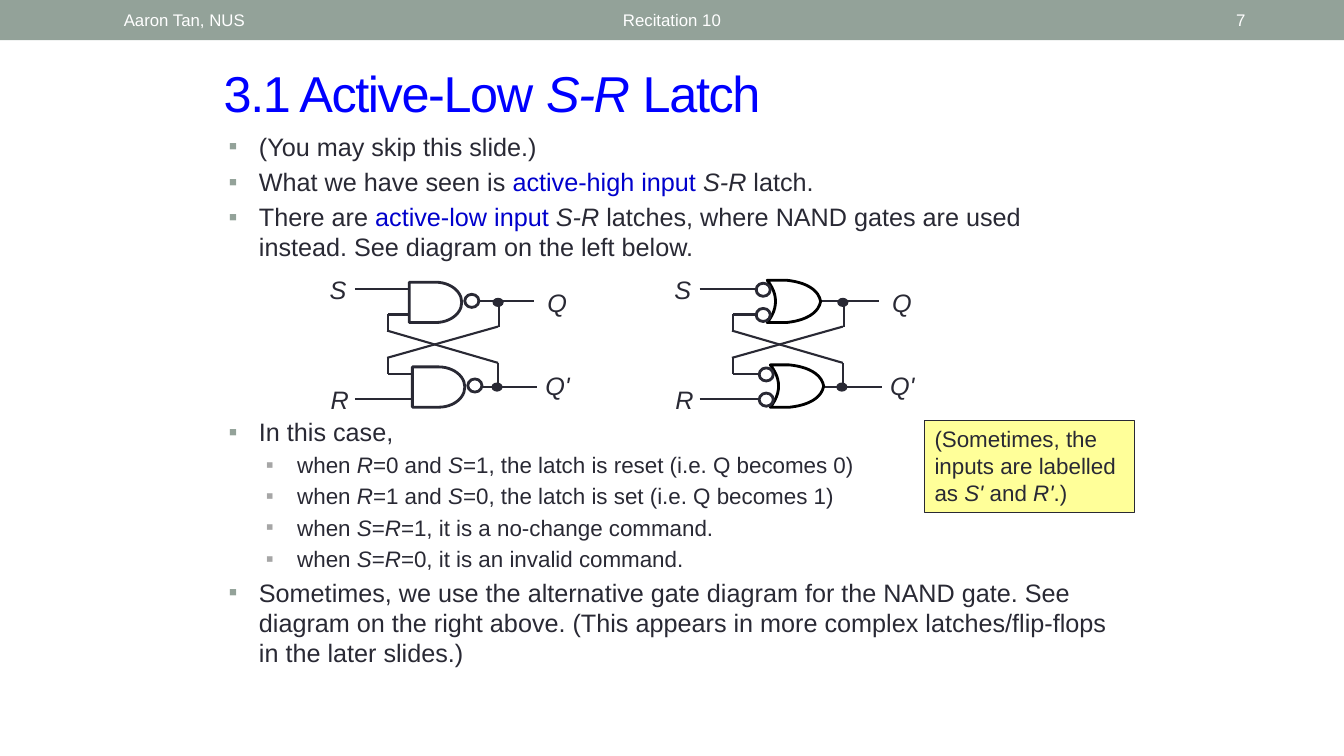
import lxml.etree
import pptx
import pptx.dml.color
import pptx.enum.shapes
import pptx.enum.text
import pptx.oxml.ns
import pptx.util

Inches = pptx.util.Inches
Pt = pptx.util.Pt
qn = pptx.oxml.ns.qn
SHAPE = pptx.enum.shapes.MSO_SHAPE
ALIGN = pptx.enum.text.PP_ALIGN
ANCHOR = pptx.enum.text.MSO_ANCHOR

COLORS = {
    "sage": "93A299", "grey": "A6A6A6", "ink": "292934", "black": "000000",
    "white": "FFFFFF", "title": "0000FF", "term": "0000CC", "note": "FFFF99",
}
LEVELS = [
    {"size": 18, "margin": 0.3, "hang": 0.3, "bullet": "sage", "before": 3.6},
    {"size": 16, "margin": 0.68, "hang": 0.31, "bullet": "grey", "before": 3.2},
]


def rgb(name):
    return pptx.dml.color.RGBColor.from_string(COLORS[name])


def apply(target, values):
    for name, value in values.items():
        setattr(target, name, value)


def italic(text):
    return text, {"italic": True}


def term(text):
    return text, {"color": "term"}


def bezier(p0, p1, p2, p3, steps=12):
    for step in range(1, steps + 1):
        t = step / steps
        u = 1 - t
        yield tuple(u**3 * a + 3 * u * u * t * b + 3 * u * t * t * c + t**3 * d
                    for a, b, c, d in zip(p0, p1, p2, p3))


class LatchSlide:
    font = "Arial"

    def __init__(self, slide):
        self.slide = slide
        self.canvas = slide.shapes

    def start_group(self):
        self.canvas = self.slide.shapes.add_group_shape().shapes

    def end_group(self):
        self.canvas = self.slide.shapes

    def outline(self, shape, fill, line, width):
        shape.shadow.inherit = False
        if fill:
            shape.fill.solid()
            shape.fill.fore_color.rgb = rgb(fill)
        else:
            shape.fill.background()
        if line:
            shape.line.color.rgb = rgb(line)
            shape.line.width = Pt(width)
        else:
            shape.line.fill.background()

    def shape(self, kind, box, fill=None, line="ink", width=2.0):
        shape = self.canvas.add_shape(kind, *map(Inches, box))
        self.outline(shape, fill, line, width)
        return shape

    def wire(self, x1, y1, x2, y2):
        wire = self.canvas.add_connector(
            pptx.enum.shapes.MSO_CONNECTOR.STRAIGHT, *map(Inches, (x1, y1, x2, y2)))
        wire.line.color.rgb = rgb("ink")
        wire.line.width = Pt(1.5)
        lxml.etree.SubElement(wire._element.spPr, qn("a:effectLst"))

    def curve(self, points):
        corners = [(Inches(x), Inches(y)) for x, y in points]
        builder = self.canvas.build_freeform(*corners[0])
        builder.add_line_segments(corners[1:], close=True)
        self.outline(builder.convert_to_shape(), None, "black", 2)

    def runs(self, paragraph, pieces, size, color="ink", spacing=None):
        for piece in pieces:
            text, style = (piece, {}) if isinstance(piece, str) else piece
            run = paragraph.add_run()
            run.text = text
            apply(run.font, {"name": self.font, "size": Pt(size),
                             "italic": style.get("italic", False)})
            run.font.color.rgb = rgb(style.get("color", color))
            if spacing:
                run._r.get_or_add_rPr().set("spc", str(spacing))

    def text(self, box, pieces, size, color="ink", anchor=ANCHOR.TOP,
             align=ALIGN.LEFT, spacing=None, host=None):
        host = host or self.canvas.add_textbox(*map(Inches, box))
        frame = host.text_frame
        apply(frame, {"word_wrap": True, "vertical_anchor": anchor})
        frame.paragraphs[0].alignment = align
        self.runs(frame.paragraphs[0], pieces, size, color, spacing)

    def bullets(self, box, items):
        frame = self.canvas.add_textbox(*map(Inches, box)).text_frame
        frame.word_wrap = True
        for index, (depth, pieces) in enumerate(items):
            level = LEVELS[depth]
            paragraph = frame.add_paragraph() if index else frame.paragraphs[0]
            properties = paragraph._p.get_or_add_pPr()
            properties.set("marL", str(Inches(level["margin"])))
            properties.set("indent", str(-Inches(level["hang"])))
            tint = lxml.etree.SubElement(properties, qn("a:buClr"))
            lxml.etree.SubElement(tint, qn("a:srgbClr"), val=COLORS[level["bullet"]])
            lxml.etree.SubElement(properties, qn("a:buFont"), typeface=self.font)
            lxml.etree.SubElement(properties, qn("a:buChar"), char="▪")
            apply(paragraph, {"level": depth,
                              "space_before": Pt(level["before"] if index else 0)})
            self.runs(paragraph, pieces, level["size"])

    def nand_gate(self, x, y):
        self.shape(SHAPE.OVAL, (x + 0.55, y + 0.12, 0.14, 0.13), "white")
        self.shape(SHAPE.FLOWCHART_DELAY, (x, y, 0.52, 0.4), "white")

    def inverted_or_gate(self, x, y):
        top, middle, bottom = y, y + 0.21, y + 0.42
        tip = (x + 0.53, middle)
        points = [(x, top), (x + 0.19, top)]
        points += bezier(points[-1], (x + 0.29, y + 0.01), (x + 0.5, y + 0.05), tip)
        points += bezier(tip, (x + 0.5, y + 0.37), (x + 0.29, y + 0.41), (x + 0.19, bottom))
        points.append((x, bottom))
        points += bezier(points[-1], (x + 0.11, y + 0.28), (x + 0.11, y + 0.14), (x, top))
        self.curve(points)
        for drop in (0.03, 0.28):
            self.shape(SHAPE.OVAL, (x - 0.11, y + drop, 0.14, 0.13))

    def latch(self, x, gate, gate_x, gate_y):
        self.start_group()
        for wire in [
            (0, 2.87, 0.58, 2.87), (0, 3.96, 0.58, 3.96),
            (0.33, 3.12, 0.58, 3.12), (0.33, 3.71, 0.58, 3.71),
            (0.33, 3.12, 0.33, 3.29), (0.33, 3.54, 0.33, 3.71),
            (1.2, 2.99, 1.78, 2.99), (1.23, 3.84, 1.81, 3.84),
            (1.42, 3.6, 1.42, 3.85), (1.43, 3, 1.43, 3.24),
            (0.32, 3.28, 1.42, 3.6), (1.42, 3.24, 0.32, 3.55),
        ]:
            x1, y1, x2, y2 = wire
            self.wire(x + x1, y1, x + x2, y2)
        for left, top in ((1.36, 3.8), (1.37, 2.96)):
            self.shape(SHAPE.OVAL, (x + left, top, 0.1, 0.08), "ink", width=0.75)
        for label, left, top, width in (("S", -0.35, 2.67, 0.38), ("R", -0.34, 3.76, 0.38),
                                        ("Q", 1.81, 2.8, 0.46), ("Q'", 1.79, 3.62, 0.46)):
            self.text((x + left, top, width, 0.4), [italic(label)], 18)
        for row in range(2):
            gate(gate_x + 0.03 * row, gate_y + 0.84 * row)
        self.end_group()


def main():
    deck = pptx.Presentation()
    apply(deck, {"slide_width": Inches(13.33), "slide_height": Inches(7.5)})
    page = LatchSlide(deck.slides.add_slide(deck.slide_layouts[6]))

    page.shape(SHAPE.RECTANGLE, (0, 0, 13.33, 0.4), "sage", None)
    for label, left, width, align in (("Recitation 10", 3.02, 7.29, ALIGN.CENTER),
                                      ("Aaron Tan, NUS", 1.13, 3.17, ALIGN.LEFT),
                                      ("7", 11.5, 0.95, ALIGN.RIGHT)):
        page.text((left, 0.02, width, 0.36), [label], 12, "white", ANCHOR.MIDDLE, align)
    page.text((2.12, 0.57, 9.38, 0.7), ["3.1 Active-Low ", italic("S-R"), " Latch"],
              36, "title", ANCHOR.MIDDLE, spacing=-100)

    page.bullets((2.17, 1.25, 9, 1.92), [
        (0, ["(You may skip this slide.)"]),
        (0, ["What we have seen is ", term("active-high input "), italic("S-R"), " latch."]),
        (0, ["There are ", term("active-low input "), italic("S-R"),
             " latches, where NAND gates are used instead. See diagram on the left below."]),
    ])
    page.latch(3.52, page.nand_gate, 4.06, 2.8)
    page.bullets((2.17, 4.08, 9, 2.92), [
        (0, ["In this case,"]),
        (1, ["when ", italic("R"), "=0 and ", italic("S"),
             "=1, the latch is reset (i.e. Q becomes 0)"]),
        (1, ["when ", italic("R"), "=1 and ", italic("S"),
             "=0, the latch is set (i.e. Q becomes 1)"]),
        (1, ["when ", italic("S"), "=", italic("R"), "=1, it is a no-change command."]),
        (1, ["when ", italic("S"), "=", italic("R"), "=0, it is an invalid command."]),
        (0, ["Sometimes, we use the alternative gate diagram for the NAND gate. "
             "See diagram on the right above. (This appears in more complex "
             "latches/flip-flops in the later slides.)"]),
    ])
    page.latch(6.94, page.inverted_or_gate, 7.61, 2.78)

    input_note = page.shape(SHAPE.RECTANGLE, (9.17, 4.17, 2.08, 0.91), "note", width=0.75)
    page.text(None, ["(Sometimes, the inputs are labelled as ", italic("S'"), " and ",
                     italic("R'"), ".)"], 16, host=input_note)
    deck.save("out.pptx")


if __name__ == "__main__":
    main()
